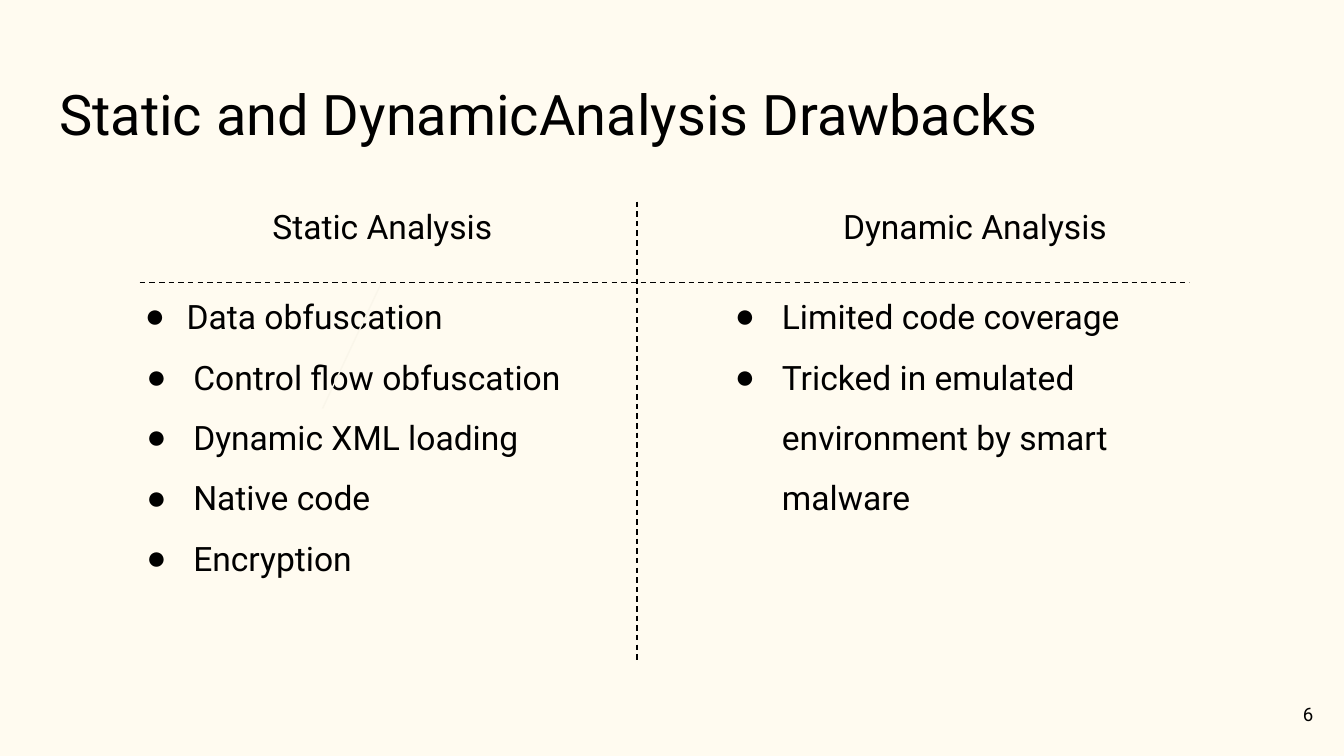
import pptx
import pptx.util
import pptx.dml.color
import pptx.enum.dml
import pptx.enum.shapes
import pptx.enum.text
import pptx.oxml.ns
import lxml.etree

Inches = pptx.util.Inches
Pt = pptx.util.Pt
RGBColor = pptx.dml.color.RGBColor
Align = pptx.enum.text.PP_ALIGN
Anchor = pptx.enum.text.MSO_ANCHOR
qn = pptx.oxml.ns.qn

CREAM = RGBColor(0xFF, 0xFB, 0xF0)
SAND = RGBColor(0xFA, 0xF6, 0xEA)
BLACK = RGBColor(0x00, 0x00, 0x00)
FONT = "Roboto"
DOT_FONT = "Arial"

STATIC = ["Data obfuscation", "Control flow obfuscation", "Dynamic XML loading",
          "Native code", "Encryption"]
DYNAMIC = ["Limited code coverage",
           "Tricked in emulated environment by smart malware"]


def set_frame(shape, left, top, width, height, anchor=Anchor.TOP):
    """Place a text shape and give its frame even margins and wrapping."""
    shape.left, shape.top = Inches(left), Inches(top)
    shape.width, shape.height = Inches(width), Inches(height)
    frame = shape.text_frame
    frame.word_wrap = True
    frame.auto_size = pptx.enum.text.MSO_AUTO_SIZE.NONE
    frame.vertical_anchor = anchor
    frame.margin_left = frame.margin_right = Inches(0.1)
    frame.margin_top = frame.margin_bottom = Inches(0.1)
    return frame


def add_box(slide, *place, anchor=Anchor.TOP):
    box = slide.shapes.add_textbox(0, 0, 0, 0)
    return set_frame(box, *place, anchor=anchor)


def write(para, text, size=18, align=Align.LEFT, indent=0, hang=0,
          lines=1, before=0, bullet=None):
    """Fill a paragraph; hang is how far a bullet stands out to the left."""
    para.alignment = align
    para.line_spacing = lines
    para.space_before = Pt(before)
    props = para._p.get_or_add_pPr()
    props.set("marL", str(Inches(indent)))
    props.set("indent", str(Inches(-hang)))
    if bullet:
        color = lxml.etree.SubElement(props, qn("a:buClr"))
        lxml.etree.SubElement(color, qn("a:srgbClr"), val=str(BLACK))
        lxml.etree.SubElement(props, qn("a:buFont"), typeface=DOT_FONT)
        lxml.etree.SubElement(props, qn("a:buChar"), char=bullet)
    run = para.add_run()
    run.text = text
    run.font.size = Pt(size)
    run.font.name = FONT
    run.font.color.rgb = BLACK


def add_list(slide, left, width, head, items, first=(1, 0.35)):
    """Add a column: centred heading, then bullets; first is indent and hang."""
    frame = add_box(slide, left, 1.28, width, 3.72)
    write(frame.paragraphs[0], head, align=Align.CENTER, indent=0.64,
          lines=1.5, before=16)
    for i, item in enumerate(items):
        indent, hang = first if i == 0 else (1, 0.35)
        write(frame.add_paragraph(), item, indent=indent, hang=hang,
              lines=1.5, before=0 if i else 16, bullet="●")


def add_line(slide, start, end, color=BLACK, dash=True):
    line = slide.shapes.add_connector(
        pptx.enum.shapes.MSO_CONNECTOR.STRAIGHT,
        *(Inches(v) for v in start + end))
    line.line.color.rgb = color
    line.line.width = Pt(0.75)
    if dash:
        line.line.dash_style = pptx.enum.dml.MSO_LINE.DASH
    lxml.etree.SubElement(line._element.spPr, qn("a:effectLst"))


def main():
    deck = pptx.Presentation()
    deck.slide_width = Inches(10)
    deck.slide_height = Inches(10 * 9 / 16)
    slide = deck.slides.add_slide(deck.slide_layouts[5])
    slide.background.fill.solid()
    slide.background.fill.fore_color.rgb = CREAM

    title = set_frame(slide.shapes.title, 0.34, 0.49, 9.32, 0.67)
    write(title.paragraphs[0], "Static and DynamicAnalysis Drawbacks", size=30)

    add_list(slide, 0.34, 4.37, "Static Analysis", STATIC, first=(0.95, 0.31))
    number = add_box(slide, 9.27, 5.1, 0.6, 0.43, anchor=Anchor.MIDDLE)
    write(number.paragraphs[0], "6", size=10, align=Align.RIGHT)
    add_line(slide, (2.84, 2.1), (2.4, 3.04), color=SAND, dash=False)
    add_list(slide, 4.72, 4.43, "Dynamic Analysis", DYNAMIC)

    add_line(slide, (1.04, 2.1), (8.85, 2.1))
    add_line(slide, (4.74, 1.5), (4.74, 4.93))
    deck.save("out.pptx")


if __name__ == "__main__":
    main()
